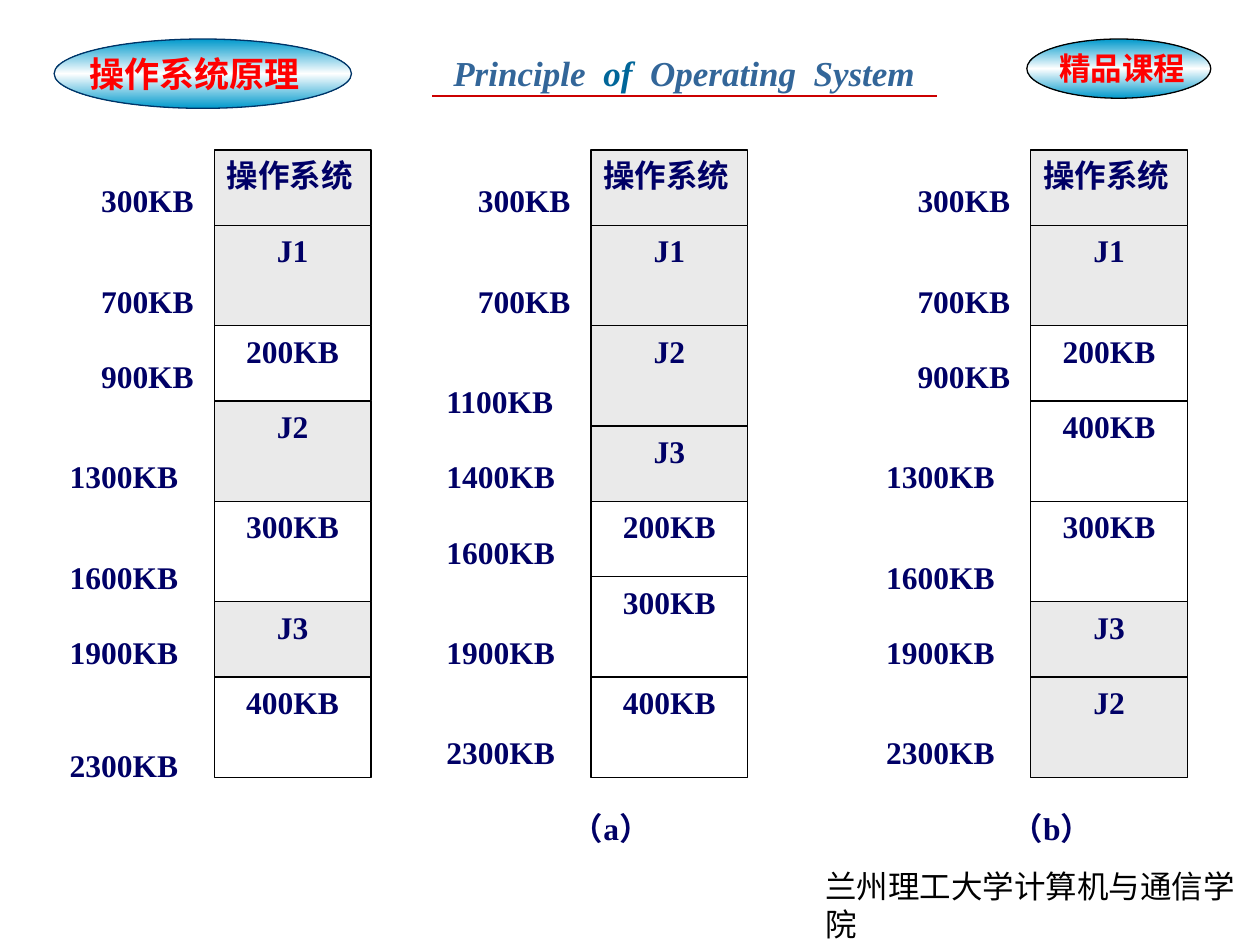
from copy import deepcopy
from lxml import etree
from pptx import Presentation
from pptx.dml.color import RGBColor
from pptx.enum.shapes import MSO_CONNECTOR, MSO_SHAPE
from pptx.enum.text import MSO_ANCHOR, PP_ALIGN
from pptx.oxml.ns import qn
from pptx.util import Inches, Pt

OVAL, RECTANGLE = MSO_SHAPE.OVAL, MSO_SHAPE.RECTANGLE
STRAIGHT, TOP = MSO_CONNECTOR.STRAIGHT, MSO_ANCHOR.TOP
LEFT, CENTER, JUSTIFY = PP_ALIGN.LEFT, PP_ALIGN.CENTER, PP_ALIGN.JUSTIFY
SERIF, SANS = "Times New Roman", "Arial"
COLORS = {
    "navy": "000066", "used": "EAEAEA", "black": "000000", "red": "FF0000",
    "rule": "CC0000", "steel": "336699", "teal": "006699",
    "rim": "003366", "cyan": "0099CC", "white": "FFFFFF",
}
DIAGRAM_FONT = {"size": Pt(18), "name": SERIF, "bold": True}

deck = Presentation()
deck.slide_width, deck.slide_height = Inches(10), Inches(7.5)
slide = deck.slides.add_slide(deck.slide_layouts[6])
shapes = slide.shapes


def rgb(name):
    return RGBColor.from_string(COLORS[name])


def write(holder, runs, font_format, alignment=LEFT, wrap=True):
    frame = holder.text_frame
    frame.word_wrap = wrap
    frame.vertical_anchor = TOP
    paragraph = frame.paragraphs[0]
    paragraph.alignment = alignment
    for words, color in runs:
        run = paragraph.add_run()
        run.text = words
        for attribute, value in font_format.items():
            setattr(run.font, attribute, value)
        run.font.color.rgb = rgb(color)


for left, width, height, rim in [(0.43, 2.36, 0.55, "rim"), (8.15, 1.46, 0.47, "black")]:
    badge = shapes.add_shape(OVAL, Inches(left), Inches(0.31), Inches(width), Inches(height))
    badge.shadow.inherit = False
    badge.line.color.rgb = rgb(rim)
    badge.line.width = Pt(0.75)
    badge.fill.gradient()
    badge.fill.gradient_angle = 90
    first_stop = badge.fill.gradient_stops[0]._gs
    first_stop.addnext(deepcopy(first_stop))
    for stop, position, color in zip(badge.fill.gradient_stops, (0, 0.5, 1), ("cyan", "white", "cyan")):
        stop.position = position
        stop.color.rgb = rgb(color)

rule = shapes.add_connector(STRAIGHT, Inches(3.43), Inches(0.76), Inches(7.44), Inches(0.76))
rule.line.color.rgb = rgb("rule")
rule.line.width = Pt(1)
etree.SubElement(rule._element.spPr, qn("a:effectLst"))

english_title = [("Principle  ", "steel"), ("of  ", "teal"), ("Operating  System", "steel")]
headings = [
    ((0.61, 0.37, 1.87, 0.44), [("操作系统原理", "red")], {"size": Pt(20), "name": SERIF, "bold": True}, False),
    ((3.5, 0.36, 3.93, 0.44), english_title, {"size": Pt(20), "name": SERIF, "bold": True, "italic": True}, False),
    ((8.31, 0.34, 1.38, 0.4), [("精品课程", "red")], {"size": Pt(18), "name": SANS, "bold": True}, True),
    ((6.45, 6.83, 3.55, 0.5), [("兰州理工大学计算机与通信学院", "black")], {"size": Pt(18), "name": SANS}, True),
]
for place, runs, font_format, wrap in headings:
    write(shapes.add_textbox(*map(Inches, place)), runs, font_format, wrap=wrap)

ROW = Inches(4.98) / 25
COLUMN = Inches(1.245) / 5
MEMORY_TOP = Inches(1.19)
BLOCK_WIDTH = int(5 * COLUMN)
LABEL_HEIGHT = int(3 * ROW)

partitions = {
    "操作系统": (300, 3), "J1": (400, 4), "J2": (400, 4), "J3": (300, 3),
    "200KB": (200, 3), "300KB": (300, 4), "400KB": (400, 4),
}
memories = [
    (1.7, "操作系统 J1 200KB J2 300KB J3 400KB", "", 0.5),
    (4.69, "操作系统 J1 J2 J3 200KB 300KB 400KB", "（a）", 0),
    (8.18, "操作系统 J1 200KB 400KB 300KB J3 J2", "（b）", 0),
]
for memory_left, layout, caption, last_label_drop in memories:
    left = Inches(memory_left)
    address, rows_above = 0, 0
    names = layout.split()
    for index, name in enumerate(names):
        size_kb, rows = partitions[name]
        block = shapes.add_shape(RECTANGLE, left, int(MEMORY_TOP + rows_above * ROW), BLOCK_WIDTH, int(rows * ROW))
        block.shadow.inherit = False
        block.line.color.rgb = rgb("black")
        block.line.width = Pt(0.75)
        if name.endswith("KB"):
            block.fill.background()
        else:
            block.fill.solid()
            block.fill.fore_color.rgb = rgb("used")
        write(block, [(name, "navy")], DIAGRAM_FONT, CENTER if index else JUSTIFY)

        address += size_kb
        rows_above += rows
        columns_left = 4 if address < 1000 else 5
        drop = last_label_drop if index == len(names) - 1 else 0
        address_label = shapes.add_textbox(
            int(left - columns_left * COLUMN), int(MEMORY_TOP + (rows_above - 2 + drop) * ROW),
            BLOCK_WIDTH, LABEL_HEIGHT)
        write(address_label, [(f"{address}KB", "navy")], DIAGRAM_FONT, JUSTIFY)
    if caption:
        caption_label = shapes.add_textbox(
            int(left - COLUMN), int(MEMORY_TOP + (rows_above + 1) * ROW), BLOCK_WIDTH, LABEL_HEIGHT)
        write(caption_label, [(caption, "navy")], DIAGRAM_FONT, JUSTIFY)

deck.save("out.pptx")
